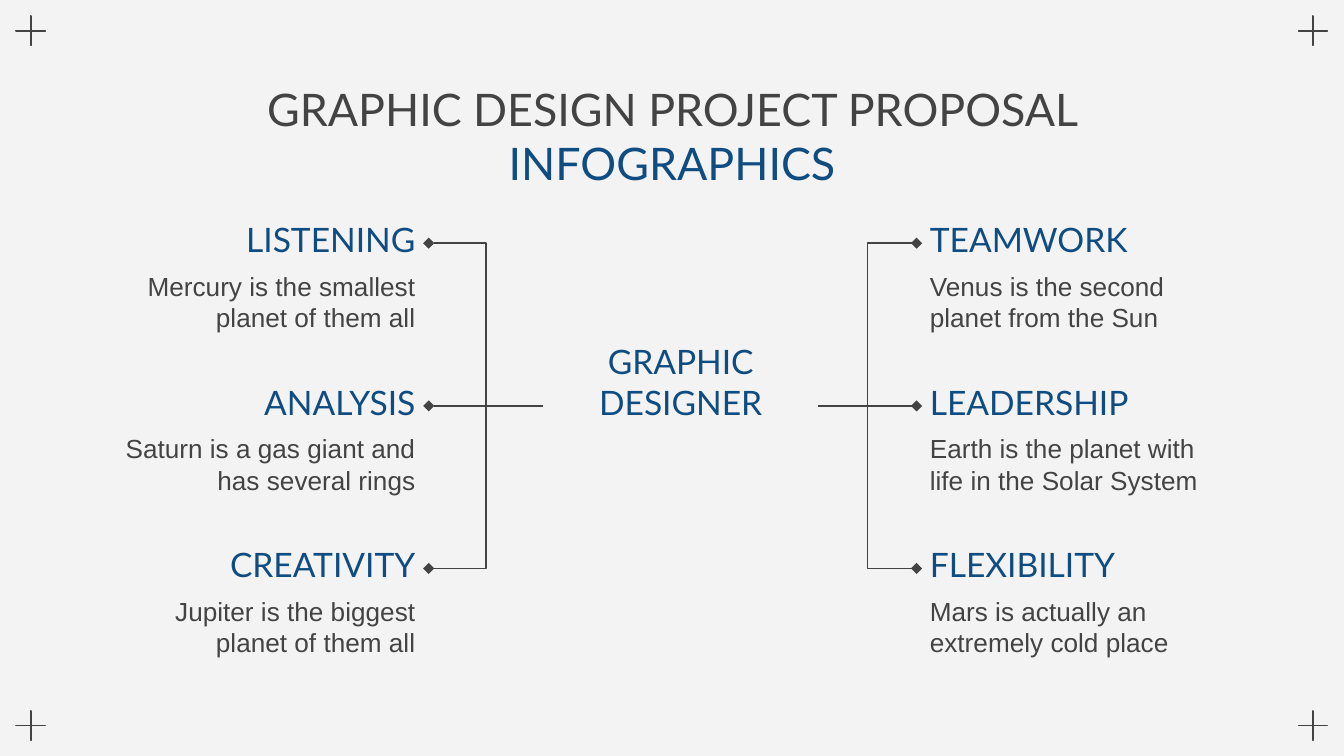
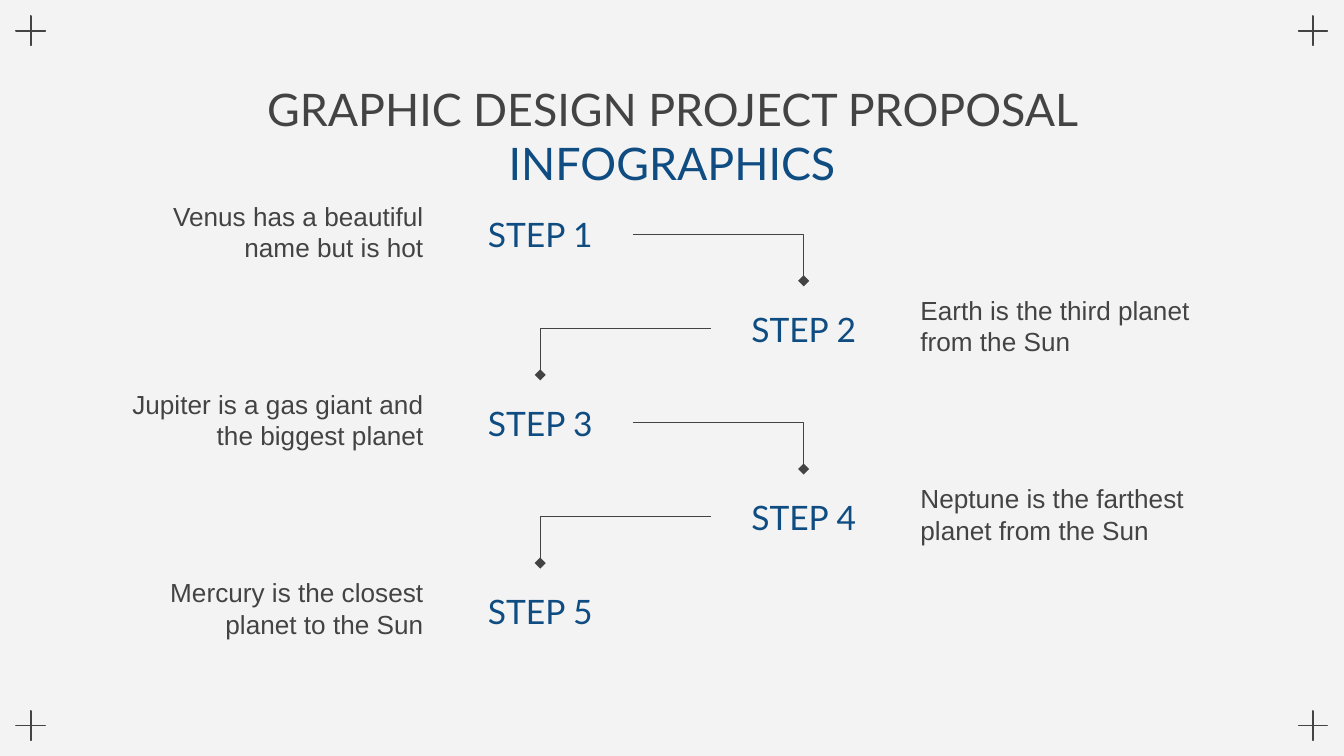
from dataclasses import dataclass
from itertools import pairwise, product

from lxml import etree
from pptx import Presentation
from pptx import util as u
from pptx.dml import color
from pptx.enum import shapes, text
from pptx.oxml import ns


@dataclass(frozen=True)
class Theme:
    paper: color.RGBColor = color.RGBColor.from_string("F3F3F3")
    ink: color.RGBColor = color.RGBColor.from_string("434343")
    accent: color.RGBColor = color.RGBColor.from_string("0F4C81")
    heading_font: str = "Lato"
    body_font: str = "Arial"
    title_size: int = 24
    heading_size: int = 18
    body_size: int = 14
    line_width: float = 0.75


THEME = Theme()
TITLE_STYLE = {"name": THEME.heading_font, "size": u.Pt(THEME.title_size)}
HEADING_STYLE = {"name": THEME.heading_font, "size": u.Pt(THEME.heading_size)}
BODY_STYLE = {"name": THEME.body_font, "size": u.Pt(THEME.body_size)}

LEFT, CENTER, RIGHT = text.PP_ALIGN.LEFT, text.PP_ALIGN.CENTER, text.PP_ALIGN.RIGHT
TOP, MIDDLE, BOTTOM = (text.MSO_ANCHOR.TOP, text.MSO_ANCHOR.MIDDLE,
                       text.MSO_ANCHOR.BOTTOM)
SIDE_TOP, SIDE_LEFT, SIDE_RIGHT = 0, 1, 3

# Skills: heading and description by column
LEFT_SKILLS = [
    ("LISTENING", "Mercury is the smallest planet of them all"),
    ("ANALYSIS", "Saturn is a gas giant and has several rings"),
    ("CREATIVITY", "Jupiter is the biggest planet of them all"),
]
RIGHT_SKILLS = [
    ("TEAMWORK", "Venus is the second planet from the Sun"),
    ("LEADERSHIP", "Earth is the planet with life in the Solar System"),
    ("FLEXIBILITY", "Mars is actually an extremely cold place"),
]
SKILL_TOP, SKILL_STEP = 1.59, 1.21

# Steps alternate between the left and right columns
STEPS = [
    "Venus has a beautiful name but is hot",
    "Earth is the third planet from the Sun",
    "Jupiter is a gas giant and the biggest planet",
    "Neptune is the farthest planet from the Sun",
    "Mercury is the closest planet to the Sun",
]
STEP_TOP, STEP_GAP = 1.39, 0.7


def inches(*lengths):
    return [u.Inches(length) for length in lengths]


def write(shape, runs, style, align, anchor):
    """Fill a shape with one paragraph made of (wording, colour) runs."""
    frame = shape.text_frame
    frame_format = {"word_wrap": True, "vertical_anchor": anchor}
    frame_format |= {f"margin_{side}": u.Inches(0.1)
                     for side in ("left", "right", "top", "bottom")}
    for name, value in frame_format.items():
        setattr(frame, name, value)
    paragraph = frame.paragraphs[0]
    paragraph.alignment = align
    for wording, ink in runs:
        run = paragraph.add_run()
        run.text = wording
        for name, value in style.items():
            setattr(run.font, name, value)
        run.font.color.rgb = ink


def add_text(slide, box, runs, style, align, anchor=TOP):
    label = slide.shapes.add_textbox(*inches(*box))
    write(label, runs, style, align, anchor)
    return label


def add_heading(slide, box, wording, align):
    return add_text(slide, box, [(wording, THEME.accent)], HEADING_STYLE, align, BOTTOM)


def add_description(slide, box, wording, align):
    return add_text(slide, box, [(wording, THEME.ink)], BODY_STYLE, align)


def add_step_label(slide, box, wording):
    label = slide.shapes.add_shape(shapes.MSO_SHAPE.ROUNDED_RECTANGLE, *inches(*box))
    label.adjustments[0] = 0
    label.shadow.inherit = False
    label.fill.background()
    label.line.fill.background()
    write(label, [(wording, THEME.accent)], HEADING_STYLE, CENTER, MIDDLE)
    return label


def add_elbow(slide, start, start_side, end, end_side, preset="bentConnector3"):
    """Join two labels with a bent line that ends in a diamond."""
    elbow = slide.shapes.add_connector(shapes.MSO_CONNECTOR.ELBOW, 0, 0, 0, 0)
    elbow.begin_connect(start, start_side)
    elbow.end_connect(end, end_side)
    elbow.line.color.rgb = THEME.ink
    elbow.line.width = u.Pt(THEME.line_width)
    properties = elbow.element.spPr
    properties.find(ns.qn("a:prstGeom")).set("prst", preset)
    etree.SubElement(properties.find(ns.qn("a:ln")), ns.qn("a:tailEnd"), type="diamond")
    etree.SubElement(properties, ns.qn("a:effectLst"))


def add_corner_marks(slide):
    for top, left in product((0.08, 5.25), (0.08, 9.62)):
        mark = slide.shapes.add_shape(shapes.MSO_SHAPE.MATH_PLUS,
                                      *inches(left, top, 0.3, 0.3))
        mark.adjustments[0] = 0.007
        mark.shadow.inherit = False
        mark.fill.background()
        mark.line.color.rgb = THEME.ink
        mark.line.width = u.Pt(THEME.line_width)


def start_slide(deck):
    """Add a slide with the shared corner marks and title."""
    slide = deck.slides.add_slide(deck.slide_layouts[6])
    background = slide.background.fill
    background.solid()
    background.fore_color.rgb = THEME.paper
    add_corner_marks(slide)
    title = [("GRAPHIC DESIGN PROJECT PROPOSAL ", THEME.ink),
             ("INFOGRAPHICS", THEME.accent)]
    add_text(slide, (0.81, 0.51, 8.38, 0.62), title, TITLE_STYLE, CENTER)
    return slide


def add_skills(slide, designer, skills, left, align, designer_side, skill_side):
    """Stack one column of skills and join each to the designer label."""
    for row, (skill, description) in enumerate(skills):
        top = SKILL_TOP + row * SKILL_STEP
        add_description(slide, (left, top + 0.32, 2.38, 0.61), description, align)
        heading = add_heading(slide, (left, top, 2.38, 0.44), skill, align)
        add_elbow(slide, designer, designer_side, heading, skill_side)


def build_skills_slide(deck):
    slide = start_slide(deck)
    designer = add_heading(slide, (4.04, SKILL_TOP + SKILL_STEP, 2.05, 0.44),
                           "GRAPHIC DESIGNER", CENTER)
    add_skills(slide, designer, LEFT_SKILLS, 0.81, RIGHT, SIDE_LEFT, SIDE_RIGHT)
    add_skills(slide, designer, RIGHT_SKILLS, 6.82, LEFT, SIDE_RIGHT, SIDE_LEFT)


def build_steps_slide(deck):
    slide = start_slide(deck)
    labels = []
    for index, description in enumerate(STEPS):
        top = STEP_TOP + index * STEP_GAP
        label_left, text_left, align = ((5.29, 6.75, LEFT) if index % 2
                                        else (3.33, 0.77, RIGHT))
        add_description(slide, (text_left, top, 2.48, 0.71), description, align)
        labels.append(add_step_label(slide, (label_left, top, 1.38, 0.71),
                                     f"STEP {index + 1}"))
    # Each step leads down to the next one
    for index, (label, following) in enumerate(pairwise(labels)):
        exit_side = SIDE_LEFT if index % 2 else SIDE_RIGHT
        add_elbow(slide, label, exit_side, following, SIDE_TOP, "bentConnector2")


def main():
    deck = Presentation()
    # Widescreen, 16:9
    deck.slide_width = u.Inches(10)
    deck.slide_height = u.Inches(10 * 9 / 16)
    build_skills_slide(deck)
    build_steps_slide(deck)
    deck.save("out.pptx")


if __name__ == "__main__":
    main()
